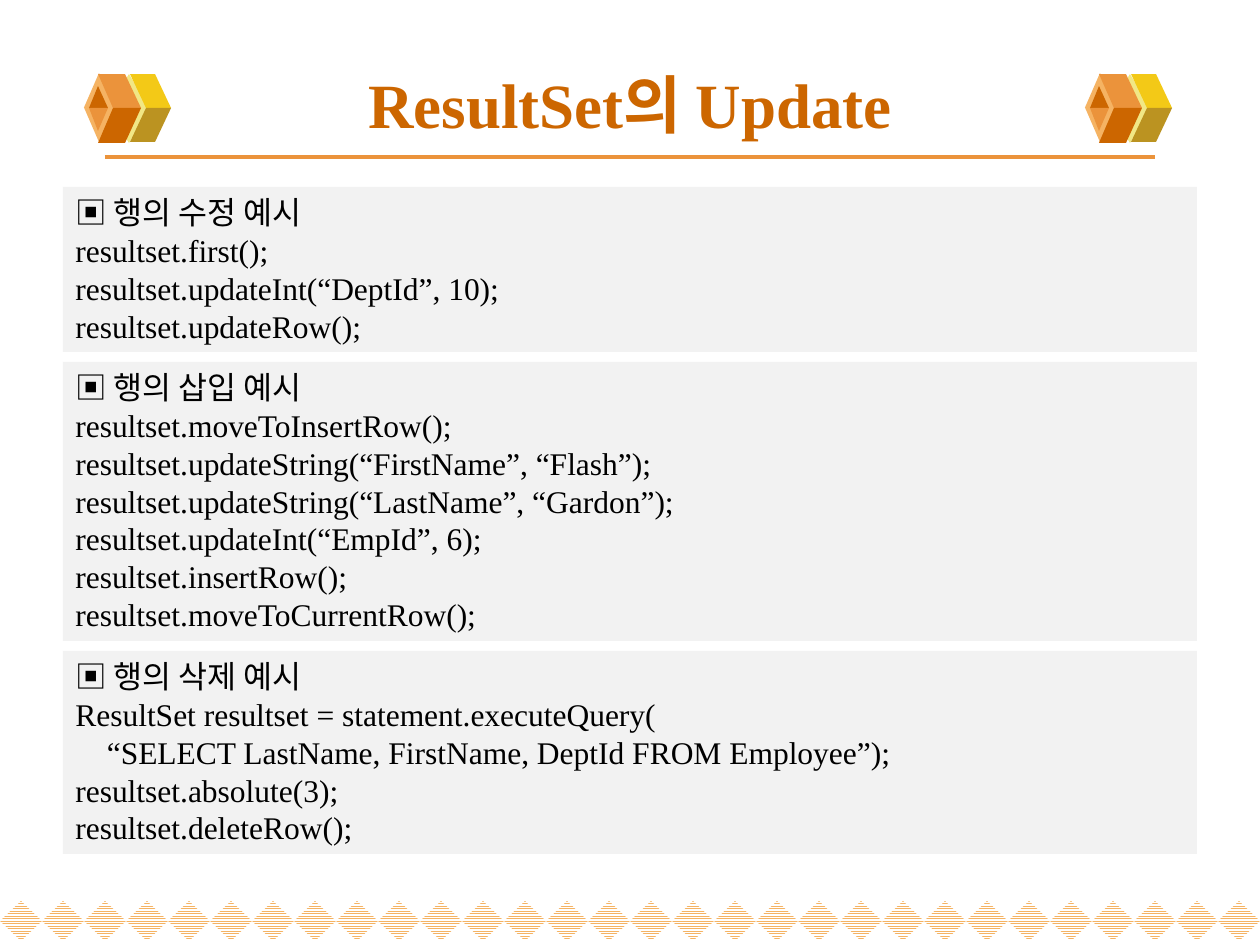
from pptx import Presentation
from pptx.dml.color import RGBColor
from pptx.enum.dml import MSO_PATTERN
from pptx.enum.shapes import MSO_CONNECTOR, MSO_SHAPE
from pptx.enum.text import MSO_ANCHOR, MSO_AUTO_SIZE, PP_ALIGN
from pptx.oxml.ns import qn
from pptx.util import Inches, Pt
from lxml.etree import SubElement

PX_PER_INCH = 126
BLACK = RGBColor(0x00, 0x00, 0x00)
WHITE = RGBColor(0xFF, 0xFF, 0xFF)
PANEL_GRAY = RGBColor(0xF2, 0xF2, 0xF2)
RUST = RGBColor(0xCC, 0x66, 0x00)
ORANGE = RGBColor(0xEB, 0x93, 0x3B)
PEACH = RGBColor(0xF5, 0xB3, 0x63)
CREAM = RGBColor(0xF1, 0xE7, 0x85)
YELLOW = RGBColor(0xF3, 0xC9, 0x17)
OLIVE = RGBColor(0xBB, 0x93, 0x21)

TITLE_FONT = {"name": "Times New Roman", "size": Pt(36), "bold": True}
CODE_FONT = {"name": "Times New Roman", "size": Pt(18)}

RIGHT_FACES = [
    ([(62, 35), (87, 35), (71, 1), (46, 1)], YELLOW),
    ([(62, 35), (87, 35), (71, 69), (46, 69)], OLIVE),
]
LEFT_FACES = [
    ([(29, 35), (57, 35), (41, 1), (14, 1)], ORANGE),
    ([(29, 35), (57, 35), (41, 70), (14, 70)], RUST),
    ([(14, 13), (5, 35), (24, 35)], RUST),
    ([(14, 58), (5, 35), (24, 35)], ORANGE),
]

EXAMPLES = [
    ["▣ 행의 수정 예시",
     "resultset.first();",
     "resultset.updateInt(“DeptId”, 10);",
     "resultset.updateRow();"],
    ["▣ 행의 삽입 예시",
     "resultset.moveToInsertRow();",
     "resultset.updateString(“FirstName”, “Flash”);",
     "resultset.updateString(“LastName”, “Gardon”);",
     "resultset.updateInt(“EmpId”, 6);",
     "resultset.insertRow();",
     "resultset.moveToCurrentRow();"],
    ["▣ 행의 삭제 예시",
     "ResultSet resultset = statement.executeQuery(",
     "    “SELECT LastName, FirstName, DeptId FROM Employee”);",
     "resultset.absolute(3);",
     "resultset.deleteRow();"],
]


def px(n):
    return Inches(n / PX_PER_INCH)


def set_attrs(obj, values):
    for name, value in values.items():
        setattr(obj, name, value)


def style_font(font, values, color):
    set_attrs(font, values)
    font.color.rgb = color


def paint(sp, color):
    sp.shadow.inherit = False
    sp.fill.solid()
    sp.fill.fore_color.rgb = color
    sp.line.fill.background()


def add_preset(slide, kind, box, color):
    sp = slide.shapes.add_shape(kind, *map(px, box))
    paint(sp, color)
    return sp


def add_face(slide, left, top, points, color):
    start, *rest = [(px(left + x), px(top + y)) for x, y in points]
    builder = slide.shapes.build_freeform(*start, scale=1.0)
    builder.add_line_segments(rest, close=True)
    paint(builder.convert_to_shape(), color)


def add_prism(slide, left, top):
    add_preset(slide, MSO_SHAPE.DIAMOND, (left + 24, top + 1, 42, 69), CREAM)
    for points, color in RIGHT_FACES:
        add_face(slide, left, top, points, color)
    add_preset(slide, MSO_SHAPE.DIAMOND, (left, top, 30, 69), PEACH)
    for points, color in LEFT_FACES:
        add_face(slide, left, top, points, color)


def add_border(slide, top, width, height, count):
    for i in range(count):
        sp = add_preset(slide, MSO_SHAPE.DIAMOND, (i * width, top, width, height), PEACH)
        sp.fill.patterned()
        sp.fill.pattern = MSO_PATTERN.NARROW_HORIZONTAL
        sp.fill.fore_color.rgb = PEACH
        sp.fill.back_color.rgb = WHITE


def add_rule(slide, left, right, y):
    line = slide.shapes.add_connector(MSO_CONNECTOR.STRAIGHT, px(left), px(y), px(right), px(y))
    line.line.width = Pt(2.25)
    line.line.color.rgb = ORANGE
    SubElement(line._element.spPr, qn("a:effectLst"))


def set_title(slide, text):
    title = slide.shapes.title
    set_attrs(title, {"left": px(63), "top": px(50), "width": px(1134), "height": px(107)})
    tf = title.text_frame
    set_attrs(tf, {"text": text, "auto_size": MSO_AUTO_SIZE.NONE,
                   "vertical_anchor": MSO_ANCHOR.MIDDLE})
    p = tf.paragraphs[0]
    p.alignment = PP_ALIGN.CENTER
    style_font(p.runs[0].font, TITLE_FONT, RUST)


def add_example(slide, top, height, lines):
    sp = add_preset(slide, MSO_SHAPE.RECTANGLE, (63, top, 1134, height), PANEL_GRAY)
    tf = sp.text_frame
    set_attrs(tf, {"text": "\n".join(lines), "word_wrap": True,
                   "auto_size": MSO_AUTO_SIZE.SHAPE_TO_FIT_TEXT,
                   "vertical_anchor": MSO_ANCHOR.TOP})
    for p in tf.paragraphs:
        p.alignment = PP_ALIGN.LEFT
        style_font(p.runs[0].font, CODE_FONT, BLACK)


def main():
    prs = Presentation()
    prs.slide_width, prs.slide_height = Inches(10), Inches(7.5)
    slide = prs.slides.add_slide(prs.slide_layouts[5])

    add_border(slide, top=901, width=42, height=40, count=30)
    add_rule(slide, 105, 1155, 157)
    for left in (84, 1085):
        add_prism(slide, left, 73)
    set_title(slide, "ResultSet의 Update")

    top, gap = 187, 10
    for lines in EXAMPLES:
        height = 38 * len(lines) + 13
        add_example(slide, top, height, lines)
        top += height + gap

    prs.save("out.pptx")


if __name__ == "__main__":
    main()
